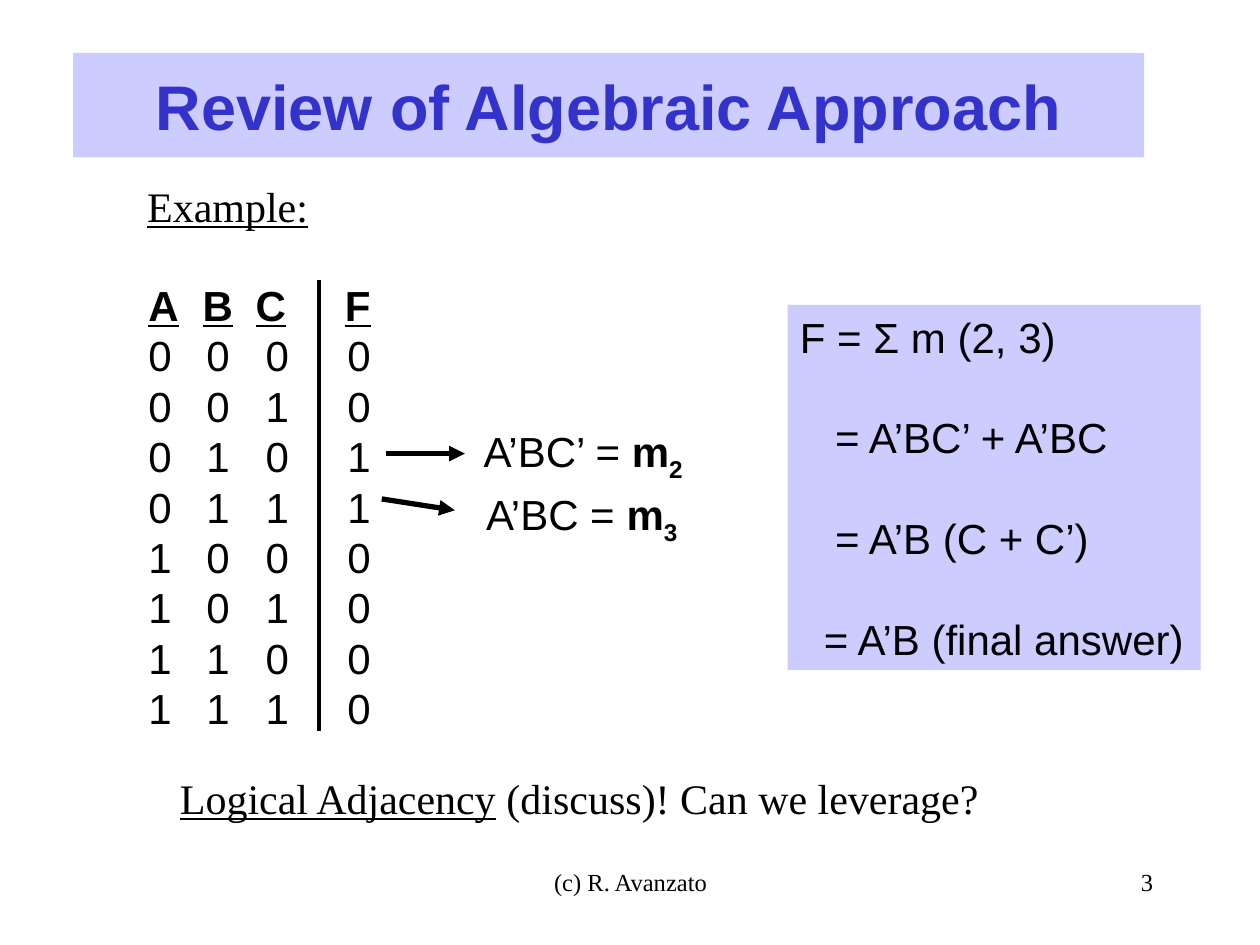
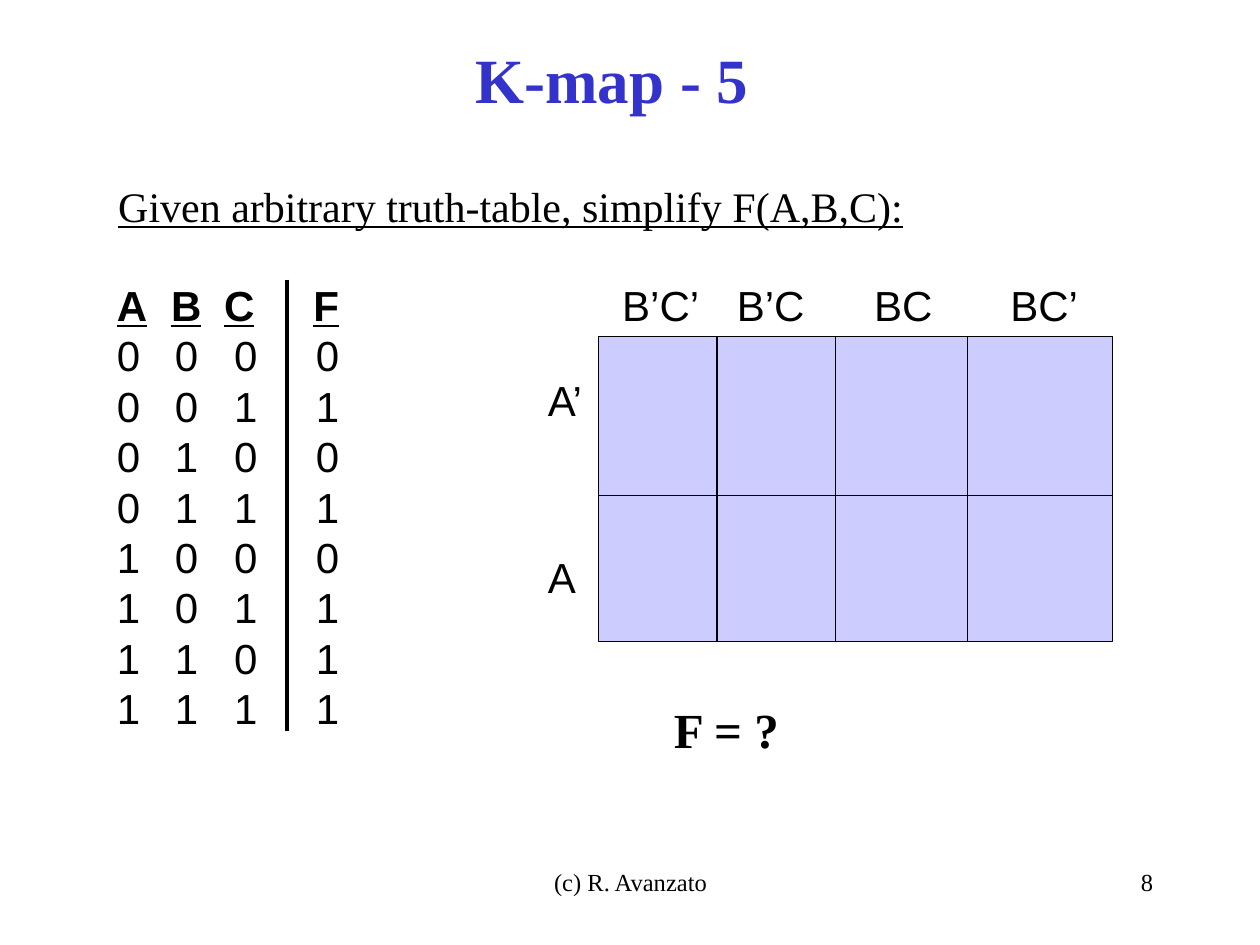
import pptx
import pptx.util
import pptx.dml.color
import pptx.enum.shapes
import pptx.enum.text
import pptx.oxml.ns
import lxml.etree

Inches = pptx.util.Inches
Pt = pptx.util.Pt
RGBColor = pptx.dml.color.RGBColor
ALIGN = pptx.enum.text.PP_ALIGN
ANCHOR = pptx.enum.text.MSO_ANCHOR
RECTANGLE = pptx.enum.shapes.MSO_SHAPE.RECTANGLE
qn = pptx.oxml.ns.qn

BLACK = RGBColor(0x00, 0x00, 0x00)
TITLE_BLUE = RGBColor(0x33, 0x33, 0xCC)
LAVENDER = RGBColor(0xCC, 0xCC, 0xFF)
SANS = "Arial"
SERIF = "Times New Roman"
LINE_PITCH = 28.8


def write(shapes, area, lines, holder=None, font=SANS, size=24, color=BLACK, bold=False,
          underline=False, align=ALIGN.LEFT, anchor=ANCHOR.TOP, right=0.03,
          pitch=None, gap=0, indents=None, tabs=None):
    box = holder or shapes.add_textbox(*map(Inches, area))
    box.left, box.top, box.width, box.height = map(Inches, area)
    frame = box.text_frame
    frame.word_wrap = True
    frame.auto_size = pptx.enum.text.MSO_AUTO_SIZE.NONE
    frame.vertical_anchor = anchor
    frame.margin_left, frame.margin_right = Inches(0.1), Inches(right)
    frame.margin_top = frame.margin_bottom = Inches(0.05)
    for index, line in enumerate([lines] if isinstance(lines, str) else lines):
        para = frame.add_paragraph() if index else frame.paragraphs[0]
        para.alignment = align
        if pitch:
            para.line_spacing = Pt(pitch)
        if index and gap:
            para.space_before = Pt(gap)
        properties = para._p.get_or_add_pPr()
        if indents:
            properties.set("marL", str(Inches(indents[index])))
        if tabs:
            stops = lxml.etree.SubElement(properties, qn("a:tabLst"))
            for position in tabs[index]:
                lxml.etree.SubElement(stops, qn("a:tab"), pos=str(Inches(position)), algn="l")
        for text, style in [(line, {})] if isinstance(line, str) else line:
            span = para.add_run()
            span.text = text
            span.font.name = font
            span.font.size = Pt(size)
            span.font.color.rgb = color
            span.font.bold = style.get("bold", bold)
            span.font.underline = style.get("underline", underline)
            if "baseline" in style:
                span._r.get_or_add_rPr().set("baseline", str(style["baseline"] * 1000))


def draw_line(shapes, start, end, weight, arrow=False):
    line = shapes.add_connector(pptx.enum.shapes.MSO_CONNECTOR.STRAIGHT,
                                *map(Inches, start + end))
    line.line.color.rgb = BLACK
    line.line.width = Pt(weight)
    if arrow:
        lxml.etree.SubElement(line.line._get_or_add_ln(), qn("a:tailEnd"), type="triangle")
    lxml.etree.SubElement(line._element.spPr, qn("a:effectLst"))


deck = pptx.Presentation()
deck.slide_width = Inches(10)
deck.slide_height = Inches(7.5)

slides = [
    dict(title="Review of Algebraic Approach", title_area=(0.58, 0.42, 8.5, 0.83),
         title_font=SANS, number="3", intro="Example:", intro_area=(1.07, 1.38, 1.6, 0.5),
         table_left=1.08, outputs="00110000"),
    dict(title="K-map - 5 ", title_area=(0.67, 0, 8.5, 1.25),
         title_font=SERIF, number="8", intro="Given arbitrary truth-table, simplify F(A,B,C):",
         intro_area=(0.84, 1.38, 6.6, 0.5), table_left=0.83, outputs="01010111"),
]
header_stops = (0.43, 0.85, 1.56)
row_stops = (0.46, 0.93, 1.58)

pages = []
for content in slides:
    page = deck.slides.add_slide(deck.slide_layouts[5])
    pages.append(page)
    write(page.shapes, content["title_area"], content["title"], holder=page.shapes.title,
          font=content["title_font"], size=36, color=TITLE_BLUE, bold=True,
          align=ALIGN.CENTER, anchor=ANCHOR.MIDDLE, right=0.1)
    write(page.shapes, (3.42, 6.83, 3.17, 0.5), "(c) R. Avanzato",
          font=SERIF, size=14, align=ALIGN.CENTER, right=0.1)
    write(page.shapes, (7.17, 6.83, 2.08, 0.5), content["number"],
          font=SERIF, size=14, align=ALIGN.RIGHT, right=0.1)
    write(page.shapes, content["intro_area"], content["intro"], font=SERIF, underline=True)

    truth_rows = [[("A\tB\tC\tF", dict(bold=True, underline=True))]]
    for index, output in enumerate(content["outputs"]):
        truth_rows.append("\t".join(f"{index:03b}" + output))
    left = content["table_left"]
    write(page.shapes, (left, 2.17, 1.96, 3.7), truth_rows, pitch=LINE_PITCH,
          tabs=[header_stops] + [row_stops] * 8)
    draw_line(page.shapes, (left + 1.45, 2.22), (left + 1.45, 5.8), 2.25)

review, kmap = pages

review.shapes.title.fill.solid()
review.shapes.title.fill.fore_color.rgb = LAVENDER

minterms = [
    ("A’BC’ = ", "2", (3.74, 3.33, 1.9, 0.56), (3.06, 3.6), (3.69, 3.6)),
    ("A’BC = ", "3", (3.76, 3.83, 1.9, 0.56), (3.03, 3.96), (3.61, 4.05)),
]
for product, subscript, area, start, end in minterms:
    write(review.shapes, area, [[(product, {}), ("m", dict(bold=True)),
                                 (subscript, dict(bold=True, baseline=-25))]])
    draw_line(review.shapes, start, end, 3, arrow=True)

solution_area = (6.25, 2.42, 3.28, 2.9)
solution = review.shapes.add_shape(RECTANGLE, *map(Inches, solution_area))
solution.shadow.inherit = False
solution.fill.solid()
solution.fill.fore_color.rgb = LAVENDER
solution.line.fill.background()
write(review.shapes, solution_area,
      ["F = Σ m (2, 3)", "= A’BC’ + A’BC", "= A’B (C + C’)", "= A’B (final answer)"],
      holder=solution, pitch=LINE_PITCH, gap=LINE_PITCH, indents=(0, 0.28, 0.28, 0.19))

write(review.shapes, (1.33, 6.08, 6.8, 0.5),
      [[("Logical Adjacency", dict(underline=True)), (" (discuss)! Can we leverage?", {})]],
      font=SERIF)

grid_left, grid_top, grid_right, grid_bottom = 4.75, 2.67, 8.83, 5.09
grid = kmap.shapes.add_group_shape().shapes
cells = grid.add_shape(RECTANGLE, Inches(grid_left), Inches(grid_top),
                       Inches(grid_right - grid_left), Inches(grid_bottom - grid_top))
cells.shadow.inherit = False
cells.fill.solid()
cells.fill.fore_color.rgb = LAVENDER
cells.line.color.rgb = BLACK
cells.line.width = Pt(0.75)
draw_line(grid, (grid_left, 3.93), (grid_right, 3.93), 0.75)
for x in (5.69, 6.63, 7.68):
    draw_line(grid, (x, grid_top), (x, grid_bottom), 0.75)

labels = [("B’C’", 4.84, 2.17), ("B’C", 5.75, 2.17), ("BC", 6.84, 2.17), ("BC’", 7.92, 2.17),
          ("A’", 4.25, 2.92), ("A", 4.25, 4.33)]
for label, left, top in labels:
    write(kmap.shapes, (left, top, 0.3 + 0.15 * len(label), 0.5), label)
write(kmap.shapes, (5.25, 5.5, 1.1, 0.57), "F = ?", font=SERIF, size=28, bold=True)

deck.save("out.pptx")
